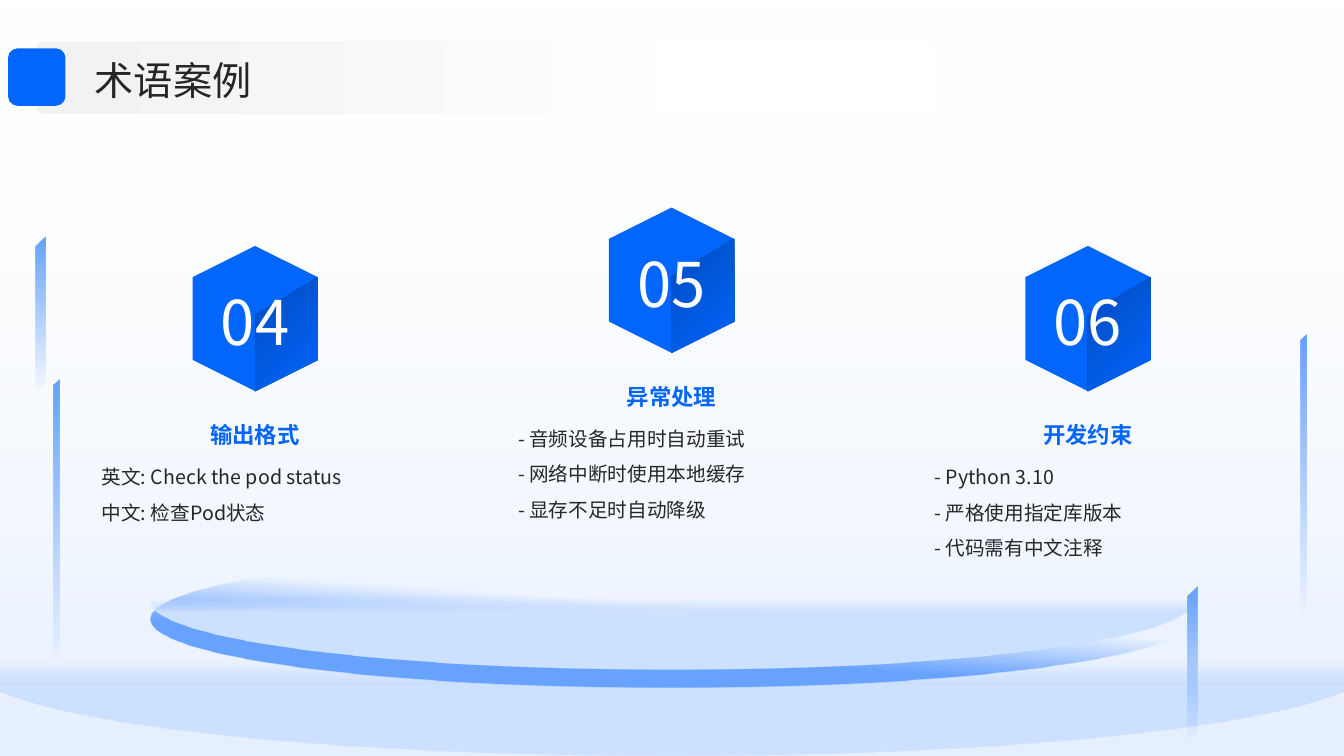
"""Build the glossary slide with three numbered hexagons over soft blue platforms."""
from lxml.etree import SubElement
from pptx import Presentation
from pptx.dml.color import RGBColor
from pptx.enum.shapes import MSO_SHAPE
from pptx.enum.text import MSO_ANCHOR, PP_ALIGN
from pptx.oxml.ns import qn
from pptx.util import Inches, Pt

C = {"blue": "0265FC", "deep": "014CBD", "sky": "67A2FE", "pale": "CCE0FF",
     "ink": "262626", "grey": "F2F2F2", "white": "FFFFFF"}
FONT = "Noto Sans CJK SC"


def paint(sp, fill, angle=0):
    sp.shadow.inherit = False
    sp.line.fill.background()
    if isinstance(fill, str):
        sp.fill.solid()
        sp.fill.fore_color.rgb = RGBColor.from_string(C[fill])
        return
    sp.fill.gradient()
    grad = sp._element.spPr.find(qn("a:gradFill"))
    for child in list(grad):
        grad.remove(child)
    stops = SubElement(grad, qn("a:gsLst"))
    for pos, color, alpha in fill:
        gs = SubElement(stops, qn("a:gs"), pos=str(pos * 1000))
        clr = SubElement(gs, qn("a:srgbClr"), val=C[color])
        if alpha < 100:
            SubElement(clr, qn("a:alpha"), val=str(alpha * 1000))
    SubElement(grad, qn("a:lin"), ang=str(angle * 60000), scaled="0")


def write(box, lines, size, color, spacing, align=PP_ALIGN.LEFT,
          anchor=MSO_ANCHOR.MIDDLE, bold=False):
    tf = s.shapes.add_textbox(*map(Inches, box)).text_frame
    tf.word_wrap = True
    tf.vertical_anchor = anchor
    tf.text = "\n".join(lines)
    for p in tf.paragraphs:
        p.alignment = align
        p.line_spacing = spacing
        p.font.size = Pt(size)
        p.font.bold = bold
        p.font.color.rgb = RGBColor.from_string(C[color])
        p.font.name = FONT
        SubElement(p.font._element, qn("a:ea"), typeface=FONT)
    return tf


prs = Presentation()
prs.slide_width, prs.slide_height = Inches(13.33), Inches(7.5)
s = prs.slides.add_slide(prs.slide_layouts[6])

backdrop = [
    (MSO_SHAPE.RECTANGLE, (0, 0, 13.33, 7.5), 90,
     [(0, "white", 0), (100, "pale", 50)]),
    (MSO_SHAPE.OVAL, (-0.27, 5.73, 13.86, 1.77), 90,
     [(47, "pale", 0), (59, "pale", 100)]),
    (MSO_SHAPE.OVAL, (1.49, 5.46, 10.34, 1.36), 94,
     [(43, "sky", 0), (68, "sky", 100)]),
    (MSO_SHAPE.OVAL, (1.49, 5.28, 10.34, 1.36), 90,
     [(43, "pale", 0), (48, "pale", 0), (58, "pale", 100)]),
]
for kind, box, angle, fill in backdrop:
    sp = s.shapes.add_shape(kind, *map(Inches, box))
    paint(sp, fill, angle)

HEX_W, HEX_H, PITCH = 1.24, 1.44, 4.13
hexagon = [(0.5, 0), (1, 0.215), (1, 0.785), (0.5, 1), (0, 0.785), (0, 0.215)]
facet = [(1, 0.215), (1, 0.785), (0.5, 1), (0.5, 0.475)]
faces = [(hexagon, "blue"), (facet, [(0, "deep", 100), (100, "blue", 100)])]
columns = [
    ("04", "输出格式", 2.44, 3.58,
     ["英文: Check the pod status", "中文: 检查Pod状态"]),
    ("05", "异常处理", 2.06, 3.24,
     ["- 音频设备占用时自动重试", "- 网络中断时使用本地缓存", "- 显存不足时自动降级"]),
    ("06", "开发约束", 2.44, 3.24,
     ["- Python 3.10", "- 严格使用指定库版本", "- 代码需有中文注释"]),
]
for i, (number, title, top, body_w, body) in enumerate(columns):
    left = 0.91 + i * PITCH
    group = s.shapes.add_group_shape()
    for points, fill in faces:
        pts = [(Inches(left + 1 + x * HEX_W), Inches(top + y * HEX_H)) for x, y in points]
        builder = group.shapes.build_freeform(*pts[0])
        builder.add_line_segments(pts[1:])
        paint(builder.convert_to_shape(), fill, 45)
    write((left, top + 1.55, 3.24, 0.57), [title], 16, "blue", 1.3,
          PP_ALIGN.CENTER, bold=True)
    write((left, top + 2.01, body_w, 1.92), body, 14, "ink", 1.5,
          anchor=MSO_ANCHOR.TOP)
    write((left + 0.79, top + 0.3, 1.66, 0.81), [number], 44, "white", 1.1,
          PP_ALIGN.CENTER)

beams = [(-0.84, 5.14, 2.8, 0.06), (11.53, 4.69, 2.8, 0.06),
         (11.06, 6.54, 1.54, 0.1), (-0.37, 3.07, 1.54, 0.1)]
for box in beams:
    sp = s.shapes.add_shape(MSO_SHAPE.PARALLELOGRAM, *map(Inches, box))
    sp.adjustments[0] = 1
    sp.rotation = 90
    sp._element.spPr.find(qn("a:xfrm")).set("flipV", "1")
    paint(sp, [(1, "sky", 100), (100, "sky", 0)])

band = s.shapes.add_shape(MSO_SHAPE.ROUNDED_RECTANGLE,
                          *map(Inches, (0.35, 0.41, 8.94, 0.72)))
band.adjustments[0] = 0.14
paint(band, [(0, "grey", 100), (80, "white", 100)])
tf = write((0.94, 0.51, 11.67, 0.51), ["术语案例"], 28, "ink", 1.1)
tf.margin_left = tf.margin_right = tf.margin_top = tf.margin_bottom = 0
badge = s.shapes.add_shape(MSO_SHAPE.ROUNDED_RECTANGLE,
                           *map(Inches, (0.08, 0.48, 0.57, 0.57)))
paint(badge, "blue")

prs.save("out.pptx")
